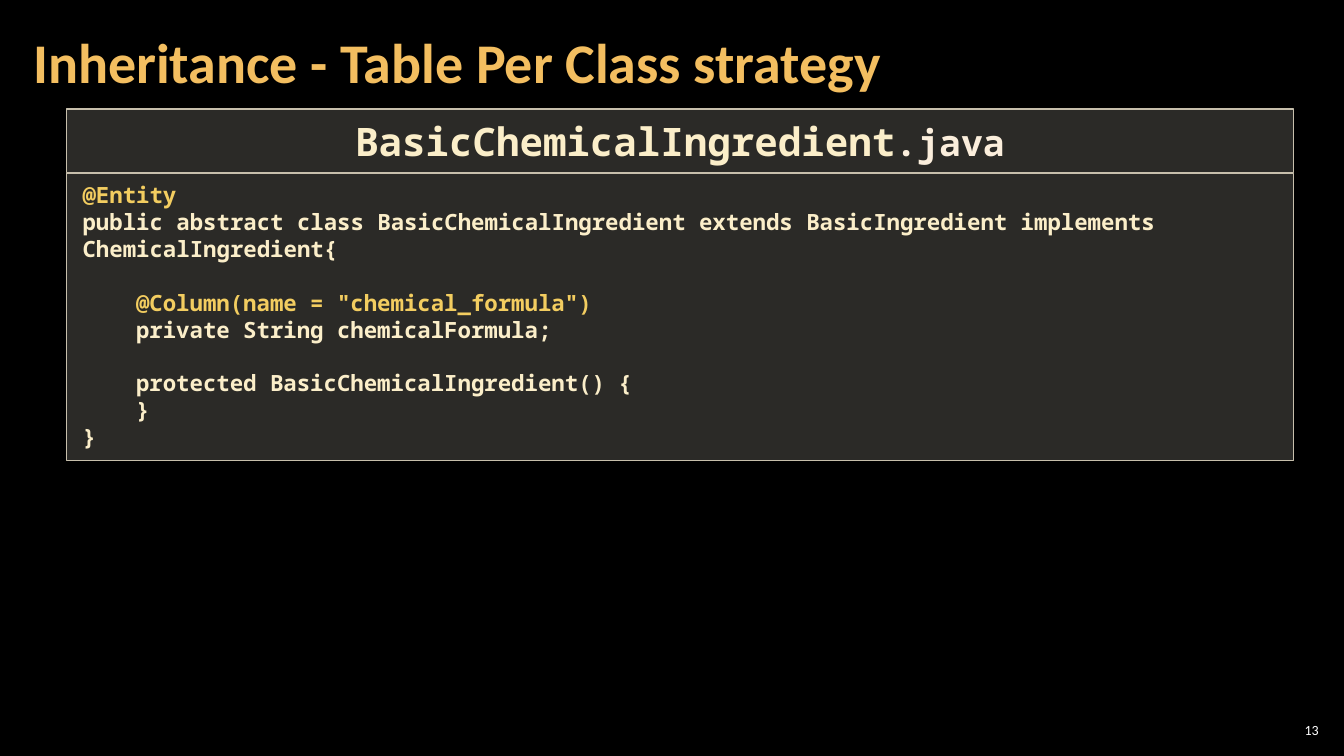
from lxml.etree import SubElement
from pptx import Presentation
from pptx.dml.color import RGBColor
from pptx.enum.shapes import MSO_SHAPE
from pptx.enum.text import MSO_ANCHOR, PP_ALIGN
from pptx.oxml.ns import qn
from pptx.util import Inches, Pt

TITLE = "Inheritance - Table Per Class strategy"
PAGE_NUMBER = "13"
CODE_FONT = "Noto Sans Mono"
CREAM, GOLD = "FBEEC9", "F3CD60"
FILE_NAME = [("BasicChemicalIngredient", 28, CREAM), (".java", 26, "FBEEDC")]
# text, indent level, blank lines before, colour
CODE = [
    ("@Entity", 0, 0, GOLD),
    ("public abstract class BasicChemicalIngredient extends BasicIngredient "
     "implements ChemicalIngredient{", 0, 0, CREAM),
    ('@Column(name = "chemical_formula")', 1, 1, GOLD),
    ("private String chemicalFormula;", 1, 0, CREAM),
    ("protected BasicChemicalIngredient() {", 1, 1, CREAM),
    ("}", 1, 0, CREAM),
    ("}", 0, 0, CREAM),
]
CODE_SIZE = 16
LINE_PITCH = 19.2
INDENT = 0.53
PANEL_LEFT, PANEL_WIDTH = 0.66, 12.17
HEADER_TOP, HEADER_HEIGHT = 1.08, 0.63
CODE_TOP, CODE_HEIGHT = 1.72, 2.85


def color(value):
    return RGBColor.from_string(value)


def style(span, size, value, font="Calibri", bold=True):
    span.font.size = Pt(size)
    span.font.name = font
    span.font.bold = bold
    span.font.color.rgb = color(value)


def set_frame(frame, side, edge, anchor):
    frame.word_wrap = True
    frame.margin_left = frame.margin_right = Inches(side)
    frame.margin_top = frame.margin_bottom = Inches(edge)
    frame.vertical_anchor = anchor


def add_panel(page, top, height, anchor):
    box = page.shapes.add_shape(
        MSO_SHAPE.RECTANGLE, Inches(PANEL_LEFT), Inches(top),
        Inches(PANEL_WIDTH), Inches(height))
    box.shadow.inherit = False
    box.fill.solid()
    box.fill.fore_color.rgb = color("D9D5C7")
    fill_color = box.fill._xPr.find(qn("a:solidFill"))[0]
    SubElement(fill_color, qn("a:alpha"), val="20000")
    box.line.color.rgb = color("C7BFAC")
    box.line.width = Pt(1)
    set_frame(box.text_frame, 0.16, 0.08, anchor)
    return box.text_frame


def add_title(page):
    title = page.shapes.title
    title.left, title.top = Inches(0.21), Inches(0.04)
    title.width, title.height = Inches(10.47), Inches(1.21)
    set_frame(title.text_frame, 0.12, 0.04, MSO_ANCHOR.MIDDLE)
    title.text_frame.text = TITLE
    para = title.text_frame.paragraphs[0]
    para.alignment = PP_ALIGN.LEFT
    para.line_spacing = 0.9
    style(para.runs[0], 40, "F3BE60")


def add_code(page):
    frame = add_panel(page, CODE_TOP, CODE_HEIGHT, MSO_ANCHOR.TOP)
    frame.text = "\n".join(line[0] for line in CODE)
    for para, (_, level, blanks, value) in zip(frame.paragraphs, CODE):
        para.alignment = PP_ALIGN.LEFT
        para.space_before = Pt(blanks * LINE_PITCH)
        properties = para._p.get_or_add_pPr()
        properties.set("marL", str(Inches(level * INDENT)))
        properties.set("indent", "0")
        style(para.runs[0], CODE_SIZE, value, CODE_FONT)


def add_header(page):
    frame = add_panel(page, HEADER_TOP, HEADER_HEIGHT, MSO_ANCHOR.MIDDLE)
    para = frame.paragraphs[0]
    para.alignment = PP_ALIGN.CENTER
    for text, size, value in FILE_NAME:
        span = para.add_run()
        span.text = text
        style(span, size, value, CODE_FONT)


def add_page_number(page):
    box = page.shapes.add_textbox(
        Inches(12.65), Inches(7.14), Inches(0.47), Inches(0.21))
    set_frame(box.text_frame, 0.04, 0.04, MSO_ANCHOR.MIDDLE)
    box.text_frame.text = PAGE_NUMBER
    para = box.text_frame.paragraphs[0]
    para.alignment = PP_ALIGN.RIGHT
    style(para.runs[0], 10, "FFFFFF", bold=False)


def main():
    deck = Presentation()
    deck.slide_width, deck.slide_height = Inches(13.33), Inches(7.5)
    page = deck.slides.add_slide(deck.slide_layouts[5])
    page.background.fill.solid()
    page.background.fill.fore_color.rgb = color("000000")
    add_title(page)
    add_code(page)
    add_header(page)
    add_page_number(page)
    deck.save("out.pptx")


if __name__ == "__main__":
    main()
